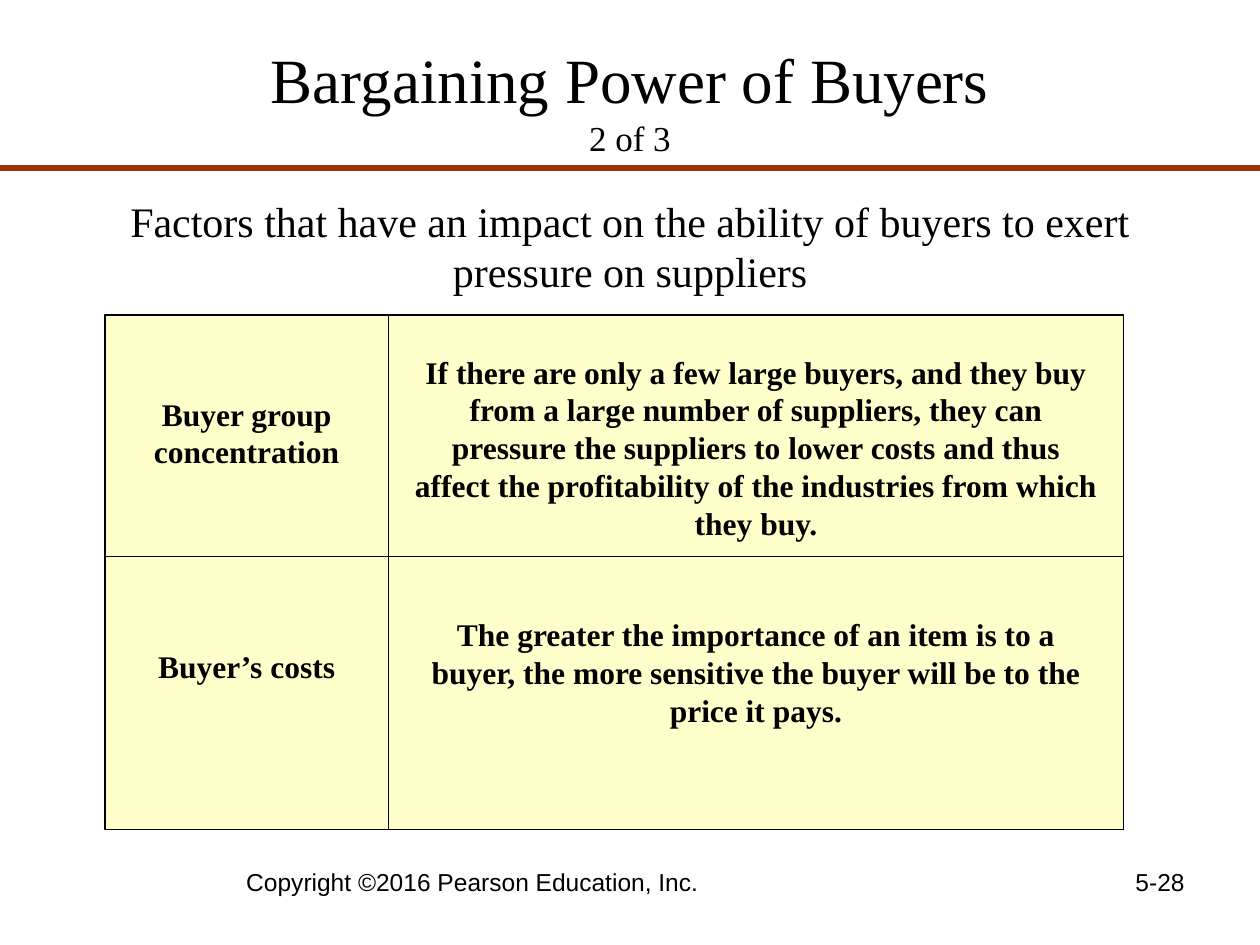
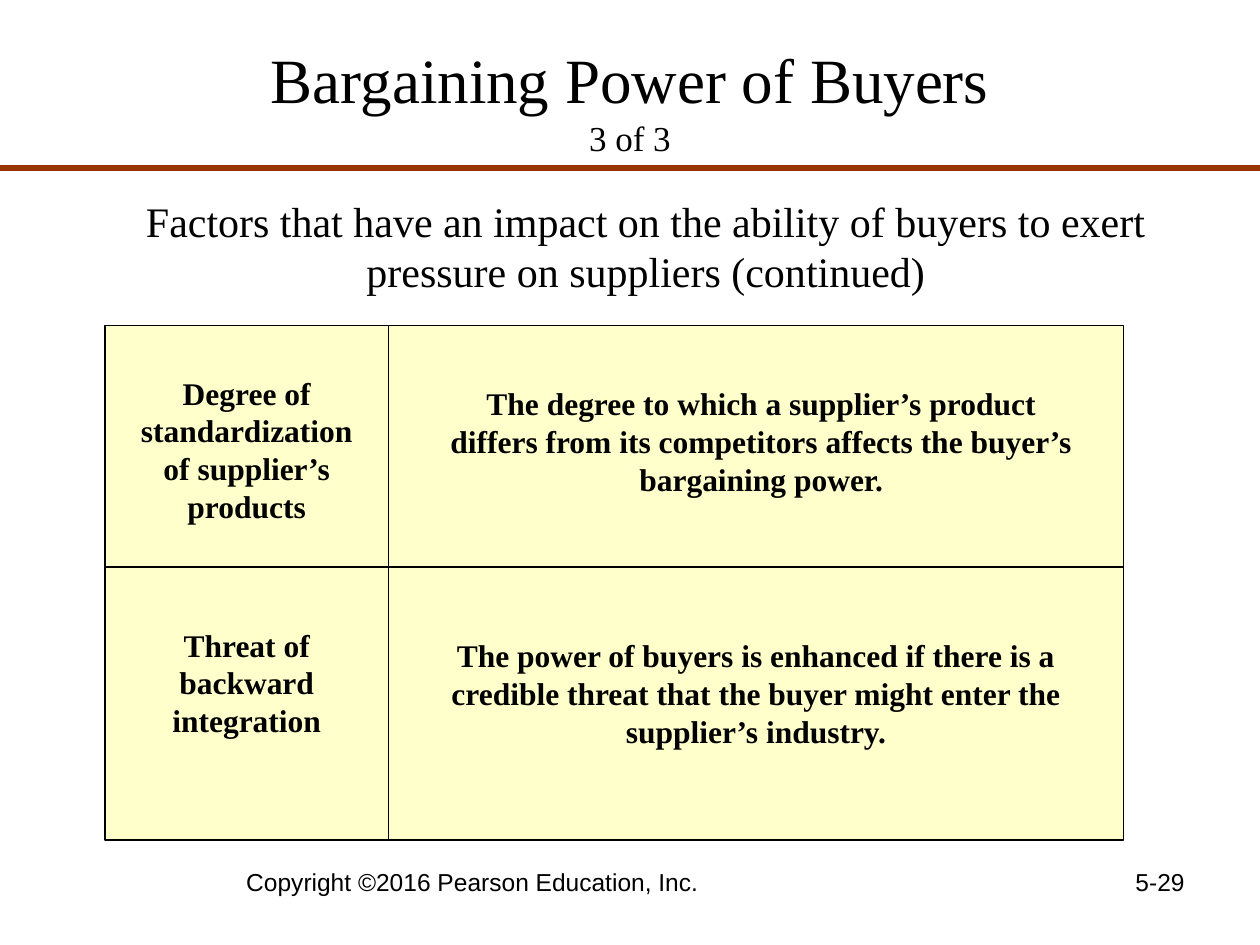
import pptx
import pptx.dml.color
import pptx.enum.shapes
import pptx.enum.text
import pptx.oxml.ns
import pptx.util
import lxml.etree

PX = 7620  # EMU in one px, 120 px to the inch
HUES = {"ink": "000000", "rule": "993300", "cell": "FFFFCC"}
SERIF, SANS = "Times New Roman", "Arial"
FORMS = {
    "title": {"name": SERIF, "size": 36},
    "count": {"name": SERIF, "size": 20},
    "lead": {"name": SERIF, "size": 24},
    "cell": {"name": SERIF, "size": 18, "bold": True},
    "foot": {"name": SANS, "size": 14},
}
ALIGN = pptx.enum.text.PP_ALIGN
ANCHOR = pptx.enum.text.MSO_ANCHOR

WIDE, TALL = 1200, 900
LEFT, SPLIT, RIGHT = 100, 370, 1070
ROW, DEPTH = 230, 490
INSET = 10

# Each cell: its text, then the left, top, width and height of its box
PAGES = [
    {
        "count": "2 of 3", "number": "5-28", "top": 300, "span": 1060,
        "lead": "Factors that have an impact on the ability of buyers to "
                "exert pressure on suppliers",
        "cells": [
            ("Buyer group concentration", 110, 370, 250, 84),
            ("If there are only a few large buyers, and they buy from a "
             "large number of suppliers, they can pressure the suppliers to "
             "lower costs and thus affect the profitability of the "
             "industries from which they buy.", 380, 330, 680, 192),
            ("Buyer’s costs", 110, 610, 250, 48),
            ("The greater the importance of an item is to a buyer, the more "
             "sensitive the buyer will be to the price it pays.",
             380, 580, 680, 120),
        ],
    },
    {
        "count": "3 of 3", "number": "5-29", "top": 310, "span": 1090,
        "lead": "Factors that have an impact on the ability of buyers to "
                "exert pressure on suppliers (continued)",
        "cells": [
            ("Degree of standardization of supplier’s products",
             110, 350, 250, 156),
            ("The degree to which a supplier’s product differs from its "
             "competitors affects the buyer’s bargaining power.",
             410, 360, 630, 120),
            ("Threat of backward integration", 110, 590, 250, 120),
            ("The power of buyers is enhanced if there is a credible threat "
             "that the buyer might enter the supplier’s industry.",
             380, 600, 680, 120),
        ],
    },
]


def hue(key):
    return pptx.dml.color.RGBColor.from_string(HUES[key])


class Deck:
    """Holds the presentation, the style and the current slide."""

    def __init__(self):
        self.show = pptx.Presentation()
        self.show.slide_width = WIDE * PX
        self.show.slide_height = TALL * PX
        self.slide = None

    def page(self):
        self.slide = self.show.slides.add_slide(self.show.slide_layouts[6])

    def style(self, run, form):
        for key, value in FORMS[form].items():
            setattr(run.font, key,
                    pptx.util.Pt(value) if key == "size" else value)
        run.font.color.rgb = hue("ink")

    def text(self, parts, x, y, w, h, align=ALIGN.CENTER, anchor=ANCHOR.TOP):
        """Place one paragraph; parts are (words, form) set on own lines."""
        box = self.slide.shapes.add_textbox(*(v * PX for v in (x, y, w, h)))
        frame = box.text_frame
        frame.word_wrap = True
        frame.vertical_anchor = anchor
        para = frame.paragraphs[0]
        para.alignment = align
        for i, (words, form) in enumerate(parts):
            if i:
                para.add_line_break()
            run = para.add_run()
            run.text = words
            self.style(run, form)
        # A break takes the size of the line that it ends
        for mark in para._p.findall(pptx.oxml.ns.qn("a:br")):
            prop = lxml.etree.SubElement(mark, pptx.oxml.ns.qn("a:rPr"))
            prop.set("sz", str(FORMS[parts[0][1]]["size"] * 100))

    def line(self, x1, y1, x2, y2, key="ink", width=0.75):
        line = self.slide.shapes.add_connector(
            pptx.enum.shapes.MSO_CONNECTOR.STRAIGHT,
            *(v * PX for v in (x1, y1, x2, y2)))
        line.line.color.rgb = hue(key)
        line.line.width = pptx.util.Pt(width)
        lxml.etree.SubElement(line._element.spPr,
                              pptx.oxml.ns.qn("a:effectLst"))

    def panel(self, x, y, w, h):
        box = self.slide.shapes.add_shape(
            pptx.enum.shapes.MSO_SHAPE.RECTANGLE,
            *(v * PX for v in (x, y, w, h)))
        box.shadow.inherit = False
        box.fill.solid()
        box.fill.fore_color.rgb = hue("cell")
        box.line.color.rgb = hue("ink")
        box.line.width = pptx.util.Pt(0.75)

    def head(self, count):
        self.text([("Bargaining Power of Buyers", "title"), (count, "count")],
                  60, 20, 1080, 150, anchor=ANCHOR.MIDDLE)
        self.line(0, 160, WIDE, 160, "rule", 3)

    def grid(self, top, cells):
        self.panel(LEFT, top, RIGHT - LEFT, DEPTH)
        self.line(LEFT, top + ROW, RIGHT, top + ROW)
        self.line(SPLIT, top, SPLIT, top + DEPTH)
        for words, *place in cells:
            self.text([(words, "cell")], *place)

    def foot(self, number):
        self.text([("Copyright ©2016 Pearson Education, Inc.", "foot")],
                  60, 820, 780, 62)
        self.text([(number, "foot")], 860, 820, 280, 62, ALIGN.RIGHT)


def main():
    deck = Deck()
    for page in PAGES:
        deck.page()
        deck.head(page["count"])
        deck.text([(page["lead"], "lead")], 70, 180, page["span"], 108)
        deck.grid(page["top"], page["cells"])
        deck.foot(page["number"])
    deck.show.save("out.pptx")


if __name__ == "__main__":
    main()
